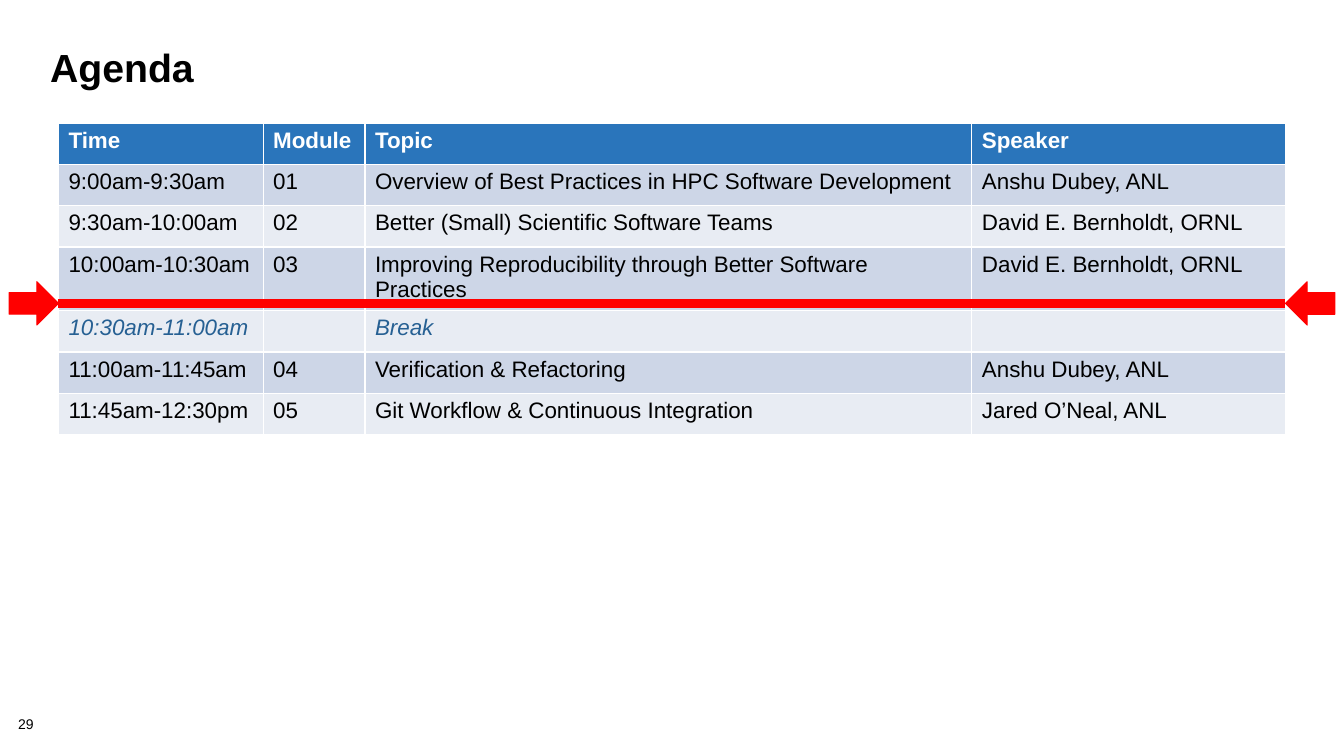
from dataclasses import dataclass

from pptx import Presentation
from pptx.dml.color import RGBColor
from pptx.enum.shapes import MSO_CONNECTOR as Connector, MSO_SHAPE as Shape
from pptx.oxml.ns import qn
from pptx.util import Inches, Pt
from lxml.etree import SubElement


@dataclass(frozen=True)
class Theme:
    """Colours and type sizes of the deck."""
    font: str = "Arial"
    text: str = "000000"
    header_text: str = "FFFFFF"
    header_fill: str = "2A75BB"
    odd_row: str = "CDD6E7"
    even_row: str = "E8ECF3"
    break_text: str = "266093"
    marker: str = "FF0000"
    title_size: int = 28
    table_size: int = 16
    number_size: int = 10


THEME = Theme()
COLUMNS = [2.03, 1.01, 6.02, 3.11]
ROW_HEIGHT, TALL_ROW_HEIGHT, TALL_ROW = 0.41, 0.63, 3
AGENDA = [
    ("Time", "Module", "Topic", "Speaker"),
    ("9:00am-9:30am", "01", "Overview of Best Practices in HPC Software Development", "Anshu Dubey, ANL"),
    ("9:30am-10:00am", "02", "Better (Small) Scientific Software Teams", "David E. Bernholdt, ORNL"),
    ("10:00am-10:30am", "03", "Improving Reproducibility through Better Software Practices",
     "David E. Bernholdt, ORNL"),
    ("10:30am-11:00am", "", "Break", ""),
    ("11:00am-11:45am", "04", "Verification & Refactoring", "Anshu Dubey, ANL"),
    ("11:45am-12:30pm", "05", "Git Workflow & Continuous Integration", "Jared O’Neal, ANL"),
]


def style_para(para, size, color, bold=False, italic=False):
    """Set the font of a whole paragraph."""
    font = para.font
    font.name, font.size = THEME.font, Pt(size)
    font.bold, font.italic = bold, italic
    font.color.rgb = RGBColor.from_string(color)


def add_label(page, text, left, top, width, height, size, spacing, bold=False, inset=(0.1, 0.05)):
    """Add a single-paragraph text box."""
    box = page.shapes.add_textbox(Inches(left), Inches(top), Inches(width), Inches(height))
    frame = box.text_frame
    frame.word_wrap = True
    frame.margin_left = frame.margin_right = Inches(inset[0])
    frame.margin_top = frame.margin_bottom = Inches(inset[1])
    para = frame.paragraphs[0]
    para.text = text
    para.line_spacing = spacing
    style_para(para, size, THEME.text, bold)


def add_agenda(page, left, top):
    """Add the agenda table with its banded rows."""
    heights = [TALL_ROW_HEIGHT if index == TALL_ROW else ROW_HEIGHT for index in range(len(AGENDA))]
    table = page.shapes.add_table(len(AGENDA), len(COLUMNS), Inches(left), Inches(top),
                                  Inches(sum(COLUMNS)), Inches(sum(heights))).table
    for column, width in zip(table.columns, COLUMNS):
        column.width = Inches(width)
    for index, (row, height, texts) in enumerate(zip(table.rows, heights, AGENDA)):
        row.height = Inches(height)
        is_header, is_break = index == 0, "Break" in texts
        fill = THEME.header_fill if is_header else THEME.odd_row if index % 2 else THEME.even_row
        color = THEME.header_text if is_header else THEME.break_text if is_break else THEME.text
        for cell, text in zip(row.cells, texts):
            cell.fill.solid()
            cell.fill.fore_color.rgb = RGBColor.from_string(fill)
            cell.text = text
            style_para(cell.text_frame.paragraphs[0], THEME.table_size, color, is_header, is_break)


def add_progress_marker(page, left, middle, width):
    """Add a red line with an arrow pointing at each of its ends."""
    red = RGBColor.from_string(THEME.marker)
    arrow_width, arrow_height = 0.49, 0.43
    group = page.shapes.add_group_shape()
    line = group.shapes.add_connector(Connector.STRAIGHT, Inches(left), Inches(middle),
                                      Inches(left + width), Inches(middle))
    line.line.color.rgb = red
    line.line.width = Pt(6)
    SubElement(line._element.spPr, qn("a:effectLst"))
    for arrow_left, rotation in ((left - arrow_width, 0), (left + width, 180)):
        arrow = group.shapes.add_shape(Shape.RIGHT_ARROW, Inches(arrow_left), Inches(middle - arrow_height / 2),
                                       Inches(arrow_width), Inches(arrow_height))
        arrow.rotation = rotation
        arrow.shadow.inherit = False
        arrow.fill.solid()
        arrow.fill.fore_color.rgb = red
        arrow.line.color.rgb = red
        arrow.line.width = Pt(0.75)


def build_agenda_slide(deck):
    """Build the agenda slide."""
    page = deck.slides.add_slide(deck.slide_layouts[6])
    table_left = 0.58
    add_label(page, "29", 0.18, 7.12, 0.56, 0.16, THEME.number_size, 0.9, inset=(0, 0))
    add_label(page, "Agenda", 0.4, 0.45, 12.44, 1, THEME.title_size, 0.85, bold=True)
    add_agenda(page, table_left, 1.22)
    add_progress_marker(page, table_left, 3.01, sum(COLUMNS))


def main():
    """Create the deck and save it."""
    deck = Presentation()
    deck.slide_width, deck.slide_height = Inches(13.33), Inches(7.5)
    build_agenda_slide(deck)
    deck.save("out.pptx")


if __name__ == "__main__":
    main()
